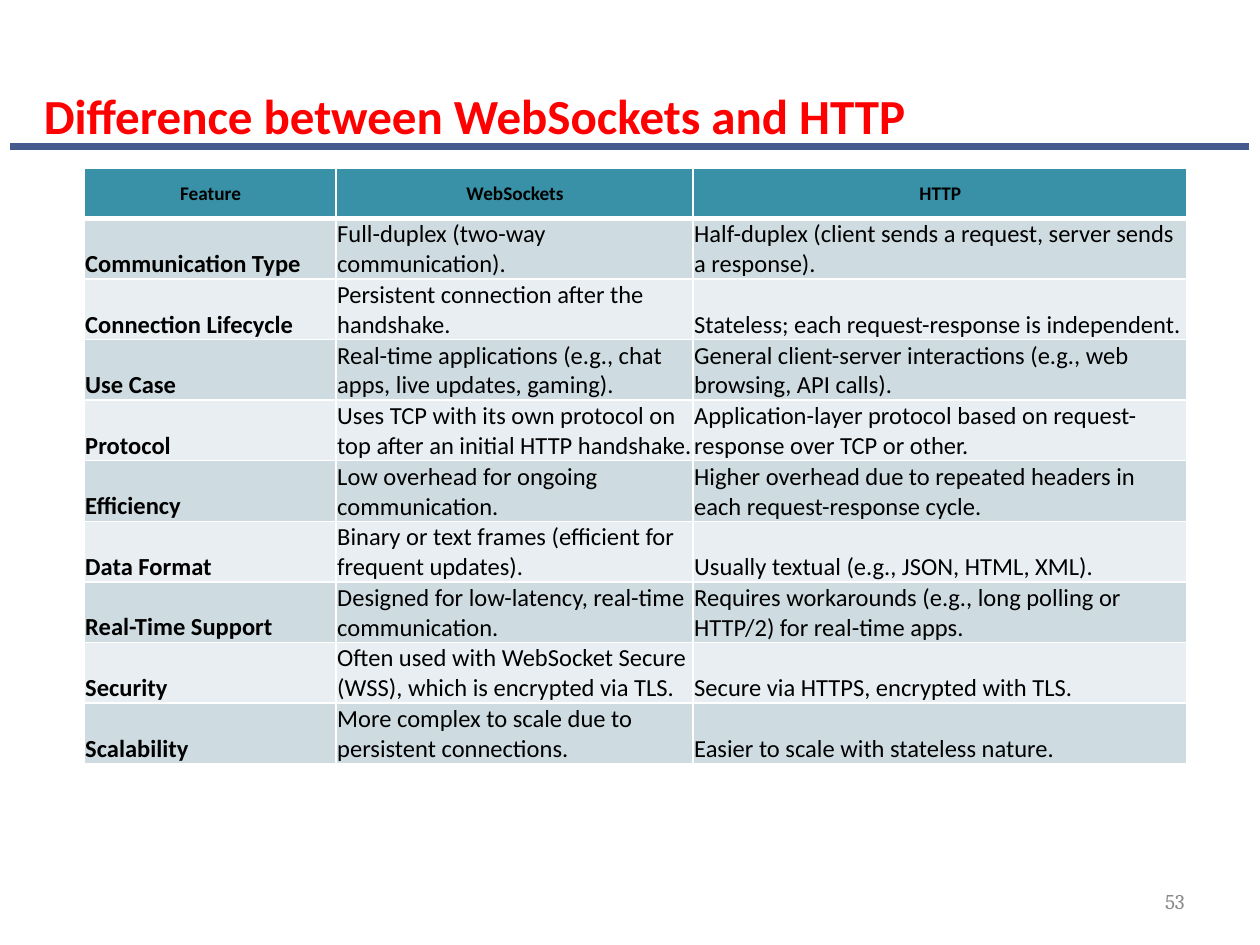
from dataclasses import dataclass

from lxml import etree
from pptx import Presentation
from pptx import util as u
from pptx.dml import color
from pptx.enum import shapes, text
from pptx.oxml import ns


@dataclass(frozen=True)
class Theme:
    """Colours, fonts and type sizes of the deck."""
    title: str = "FF0000"
    rule: str = "475A8D"
    header: str = "3891A7"
    bands: tuple = ("CEDCE1", "E8EEF1")
    ink: str = "000000"
    border: str = "FFFFFF"
    muted: str = "898989"
    font: str = "Calibri"
    number_font: str = "Cambria"
    title_size: float = 28
    header_size: float = 11
    body_size: float = 14
    number_size: float = 12


COLUMNS, ROWS = 120, 90
FEATURES = [
    ("Feature", "WebSockets", "HTTP"),
    ("Communication Type", "Full-duplex (two-way communication).",
     "Half-duplex (client sends a request, server sends a response)."),
    ("Connection Lifecycle", "Persistent connection after the handshake.",
     "Stateless; each request-response is independent."),
    ("Use Case", "Real-time applications (e.g., chat apps, live updates, gaming).",
     "General client-server interactions (e.g., web browsing, API calls)."),
    ("Protocol", "Uses TCP with its own protocol on top after an initial HTTP handshake.",
     "Application-layer protocol based on request-response over TCP or other."),
    ("Efficiency", "Low overhead for ongoing communication.",
     "Higher overhead due to repeated headers in each request-response cycle."),
    ("Data Format", "Binary or text frames (efficient for frequent updates).",
     "Usually textual (e.g., JSON, HTML, XML)."),
    ("Real-Time Support", "Designed for low-latency, real-time communication.",
     "Requires workarounds (e.g., long polling or HTTP/2) for real-time apps."),
    ("Security", "Often used with WebSocket Secure (WSS), which is encrypted via TLS.",
     "Secure via HTTPS, encrypted with TLS."),
    ("Scalability", "More complex to scale due to persistent connections.",
     "Easier to scale with stateless nature."),
]


class SlideBuilder:
    """Places styled elements on a slide by grid columns and rows."""

    def __init__(self, presentation, theme):
        """Add a blank slide and measure its grid."""
        self.theme = theme
        self.slide = presentation.slides.add_slide(presentation.slide_layouts[6])
        self.column = presentation.slide_width / COLUMNS
        self.row = presentation.slide_height / ROWS

    def place(self, *lengths):
        """Turn alternating columns and rows into slide lengths."""
        units = (self.column, self.row) * 2
        return [round(length * unit) for length, unit in zip(lengths, units)]

    def style(self, frame, size, ink, bold=False, font=None, align=text.PP_ALIGN.LEFT):
        """Format every run of a text frame."""
        for paragraph in frame.paragraphs:
            paragraph.alignment = align
            for run in paragraph.runs:
                run.font.name = font or self.theme.font
                run.font.size = u.Pt(size)
                run.font.bold = bold
                run.font.color.rgb = color.RGBColor.from_string(ink)

    def label(self, words, area, anchor, **style):
        """Add a wrapping text box."""
        frame = self.slide.shapes.add_textbox(*self.place(*area)).text_frame
        frame.word_wrap = True
        frame.vertical_anchor = anchor
        frame.text = words
        self.style(frame, **style)

    def rule(self, start, end, width):
        """Add a straight line without a shadow."""
        line = self.slide.shapes.add_connector(
            shapes.MSO_CONNECTOR.STRAIGHT, *self.place(*start, *end))
        line.line.color.rgb = color.RGBColor.from_string(self.theme.rule)
        line.line.width = u.Pt(width)
        etree.SubElement(line._element.spPr, ns.qn("a:effectLst"))

    def borders(self, cell, bottom):
        """Draw the four borders of a cell."""
        properties = cell._tc.get_or_add_tcPr()
        for side, width in (("L", 1), ("R", 1), ("T", 1), ("B", bottom)):
            line = etree.SubElement(properties, ns.qn(f"a:ln{side}"), w=str(u.Pt(width)))
            fill = etree.SubElement(line, ns.qn("a:solidFill"))
            etree.SubElement(fill, ns.qn("a:srgbClr"), val=self.theme.border)

    def cell(self, cell, words, fill, anchor, bottom, **style):
        """Fill, border and write one table cell."""
        self.borders(cell, bottom)
        cell.fill.solid()
        cell.fill.fore_color.rgb = color.RGBColor.from_string(fill)
        cell.margin_left = cell.margin_top = u.Inches(0.01)
        cell.margin_right = cell.margin_bottom = 0
        cell.vertical_anchor = anchor
        cell.text_frame.text = words
        self.style(cell.text_frame, ink=self.theme.ink, **style)

    def table(self, records, left, top, widths, header_height, body_height):
        """Add a banded table with a header row."""
        theme = self.theme
        heights = [header_height] + [body_height] * (len(records) - 1)
        area = self.place(left, top, sum(widths), sum(heights))
        table = self.slide.shapes.add_table(len(records), len(widths), *area).table
        for column, width in zip(table.columns, widths):
            column.width = round(width * self.column)
        for y, (record, height) in enumerate(zip(records, heights)):
            table.rows[y].height = round(height * self.row)
            for x, words in enumerate(record):
                if y == 0:
                    look = dict(fill=theme.header, anchor=text.MSO_ANCHOR.MIDDLE, bottom=3,
                                size=theme.header_size, bold=True, align=text.PP_ALIGN.CENTER)
                else:
                    look = dict(fill=theme.bands[(y - 1) % 2], anchor=text.MSO_ANCHOR.BOTTOM,
                                bottom=1, size=theme.body_size, bold=x == 0)
                self.cell(table.cell(y, x), words, **look)


def main():
    """Build the comparison slide."""
    presentation = Presentation()
    presentation.slide_width, presentation.slide_height = u.Inches(10), u.Inches(7.5)
    theme = Theme()
    builder = SlideBuilder(presentation, theme)
    builder.rule((1, 14), (119, 14), width=4)
    builder.label("Difference between WebSockets and HTTP", (3, 1, 109, 13.3),
                  text.MSO_ANCHOR.BOTTOM, size=theme.title_size, ink=theme.title, bold=True)
    builder.table(FEATURES, left=8, top=16, widths=(24, 34, 47),
                  header_height=4.8, body_height=5.77)
    builder.label("53", (86, 83.4, 28, 4.8), text.MSO_ANCHOR.MIDDLE, size=theme.number_size,
                  ink=theme.muted, font=theme.number_font, align=text.PP_ALIGN.RIGHT)
    presentation.save("out.pptx")


if __name__ == "__main__":
    main()
